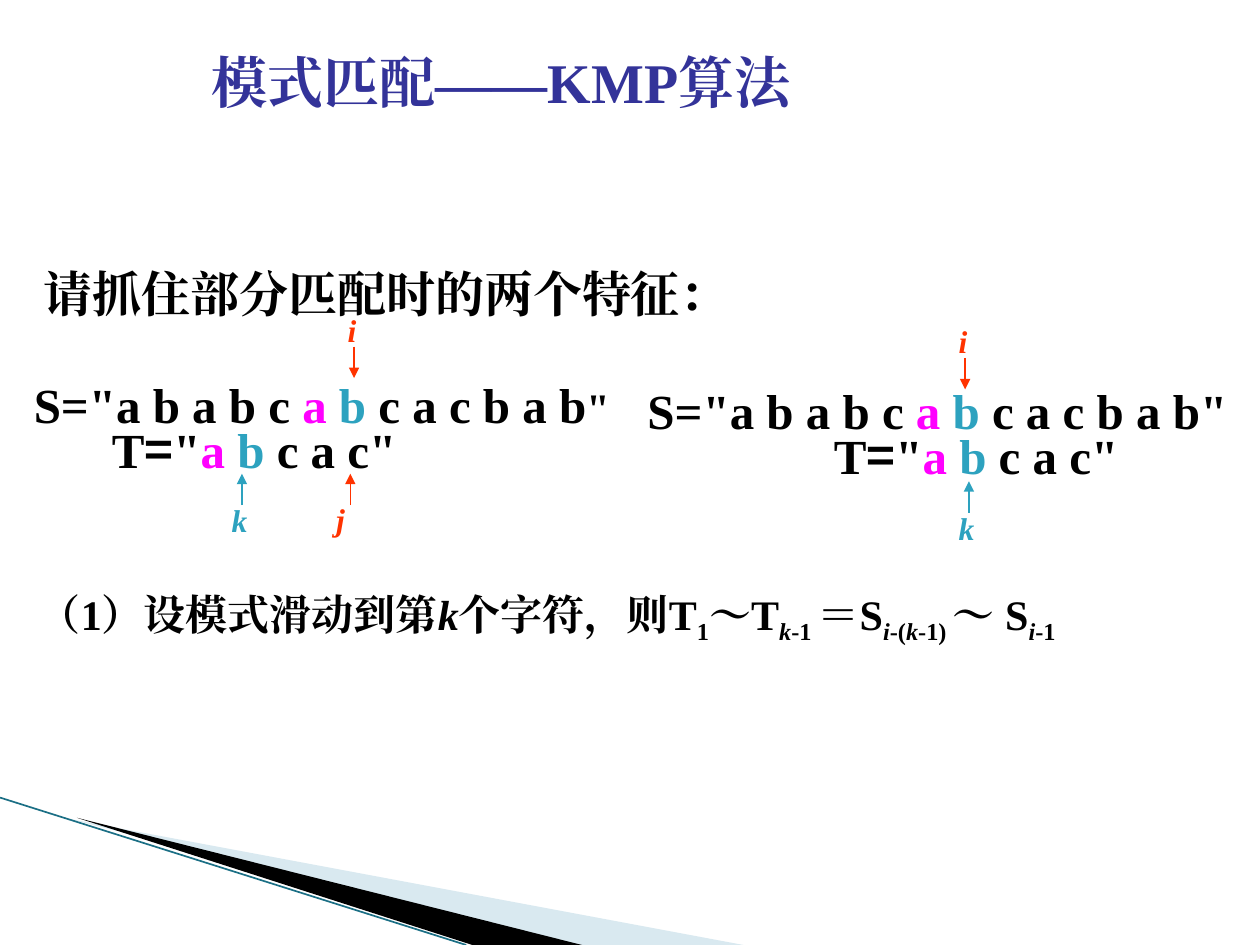
"""Build a slide on the two features of partial matching in the KMP algorithm."""
from dataclasses import dataclass

from lxml.etree import SubElement
from pptx import Presentation
from pptx.dml.color import RGBColor
from pptx.enum.shapes import MSO_CONNECTOR
from pptx.enum.text import MSO_AUTO_SIZE
from pptx.oxml.ns import qn
from pptx.util import Inches, Pt


@dataclass(frozen=True)
class Theme:
    font: str = "Times New Roman"
    symbol_font: str = "Noto Sans CJK SC"
    ink: str = "000000"
    title: str = "333399"
    first_match: str = "FF00FF"
    second_match: str = "2DA2BF"
    pointer: str = "FF3300"
    pale_swoosh: str = "D9E9F0"
    edge: str = "1B6F85"
    title_size: int = 32
    heading_size: int = 28
    body_size: int = 24
    label_size: int = 18


THEME = Theme()


@dataclass(frozen=True)
class Span:
    text: str
    color: str = THEME.ink
    size: int = THEME.heading_size
    font: str = THEME.font
    italic: bool = False
    subscript: bool = False


@dataclass(frozen=True)
class Pointer:
    name: str
    color: str
    label_left: float
    label_top: float
    x: float
    tail: float
    tip: float


@dataclass(frozen=True)
class Match:
    text_left: float
    text_top: float
    text_width: float
    pattern_left: float
    pattern_top: float
    closing_size: int
    pointers: tuple[Pointer, ...]


@dataclass(frozen=True)
class Swoosh:
    color: str
    points: tuple[tuple[float, float], ...]


def add_text(shapes, left: float, top: float, width: float, height: float,
             spans: list[Span]) -> None:
    """Add a one-paragraph text box made of bold spans."""
    box = shapes.add_textbox(Inches(left), Inches(top), Inches(width), Inches(height))
    frame = box.text_frame
    frame.word_wrap = True
    frame.auto_size = MSO_AUTO_SIZE.SHAPE_TO_FIT_TEXT
    for span in spans:
        run = frame.paragraphs[0].add_run()
        run.text = span.text
        run.font.size = Pt(span.size)
        run.font.bold = True
        run.font.italic = span.italic
        run.font.color.rgb = RGBColor.from_string(span.color)
        run.font.name = span.font
        properties = run._r.get_or_add_rPr()
        SubElement(properties, qn("a:ea"), typeface=span.font)
        if span.subscript:
            properties.set("baseline", "-25000")


def add_line(shapes, start: tuple[float, float], end: tuple[float, float],
             color: str, width: float, arrow: bool = False) -> None:
    """Add a straight line, optionally with an arrowhead at its end."""
    line = shapes.add_connector(MSO_CONNECTOR.STRAIGHT, *map(Inches, start + end))
    line.line.color.rgb = RGBColor.from_string(color)
    line.line.width = Pt(width)
    if arrow:
        SubElement(line.line._get_or_add_ln(), qn("a:tailEnd"), type="triangle")
    SubElement(line._element.spPr, qn("a:effectLst"))


def add_swoosh(shapes, swoosh: Swoosh) -> None:
    """Add a filled outline without a border."""
    start, *rest = [(Inches(x), Inches(y)) for x, y in swoosh.points]
    builder = shapes.build_freeform(*start)
    builder.add_line_segments(rest, close=True)
    shape = builder.convert_to_shape()
    shape.shadow.inherit = False
    shape.fill.solid()
    shape.fill.fore_color.rgb = RGBColor.from_string(swoosh.color)
    shape.line.fill.background()


def add_match(page, match: Match) -> None:
    """Add a grouped text, pattern and their position pointers."""
    shapes = page.shapes.add_group_shape().shapes
    shared = [Span("a ", THEME.first_match), Span("b ", THEME.second_match)]
    add_text(shapes, match.text_left, match.text_top, match.text_width, 0.57,
             [Span('S="a b a b c '), *shared, Span("c a c b a b"),
              Span('"', size=match.closing_size)])
    add_text(shapes, match.pattern_left, match.pattern_top, 2.6, 0.57,
             [Span("T"), Span("=", font=THEME.symbol_font), Span('"'),
              *shared, Span('c a c"')])
    for pointer in match.pointers:
        add_text(shapes, pointer.label_left, pointer.label_top, 0.35, 0.4,
                 [Span(pointer.name, pointer.color, THEME.label_size, italic=True)])
        add_line(shapes, (pointer.x, pointer.tail), (pointer.x, pointer.tip),
                 pointer.color, 0.75, arrow=True)


def body(text: str, italic: bool = False) -> Span:
    """Return a span of the statement."""
    return Span(text, size=THEME.body_size, italic=italic)


def index(text: str, italic: bool = False) -> Span:
    """Return a subscript span of the statement."""
    return Span(text, size=THEME.body_size, italic=italic, subscript=True)


SWOOSHES = (
    Swoosh(THEME.pale_swoosh, ((0.55, 6.5), (5.9, 7.5), (4.56, 7.5))),
    Swoosh(THEME.ink, ((0.61, 6.49), (4.62, 7.5), (3.75, 7.5))),
)
MATCHES = (
    Match(0.17, 2.92, 4.83, 0.79, 3.28, THEME.body_size, (
        Pointer("i", THEME.pointer, 2.66, 2.42, 2.81, 2.75, 3),
        Pointer("k", THEME.second_match, 1.74, 3.93, 1.92, 4.01, 3.76),
        Pointer("j", THEME.pointer, 2.57, 3.92, 2.78, 4.01, 3.76))),
    Match(5.04, 2.97, 4.95, 6.52, 3.33, THEME.heading_size, (
        Pointer("i", THEME.pointer, 7.51, 2.51, 7.66, 2.84, 3.09),
        Pointer("k", THEME.second_match, 7.51, 3.99, 7.69, 4.07, 3.82))),
)
STATEMENT = [
    body("（1）设模式滑动到第"), body("k", italic=True), body("个字符，则T"), index("1"),
    body("～T"), index("k", italic=True), index("-1 "),
    body("＝S"), index("i", italic=True), index("-("), index("k", italic=True),
    index("-1) "), body("～ S"), index("i", italic=True), index("-1"),
]


def main() -> None:
    """Build and save the deck."""
    deck = Presentation()
    deck.slide_width, deck.slide_height = Inches(10), Inches(7.5)
    page = deck.slides.add_slide(deck.slide_layouts[6])
    for swoosh in SWOOSHES:
        add_swoosh(page.shapes, swoosh)
    add_line(page.shapes, (0, 6.33), (3.7, 7.5), THEME.edge, 0.95)
    add_text(page.shapes, 0.25, 2.04, 8.33, 0.57, [Span("请抓住部分匹配时的两个特征：")])
    add_text(page.shapes, 0.21, 4.62, 9.15, 0.5, STATEMENT)
    for match in MATCHES:
        add_match(page, match)
    add_text(page.shapes, 1.58, 0.33, 8.17, 0.63,
             [Span("模式匹配——KMP算法", THEME.title, THEME.title_size)])
    deck.save("out.pptx")


if __name__ == "__main__":
    main()
